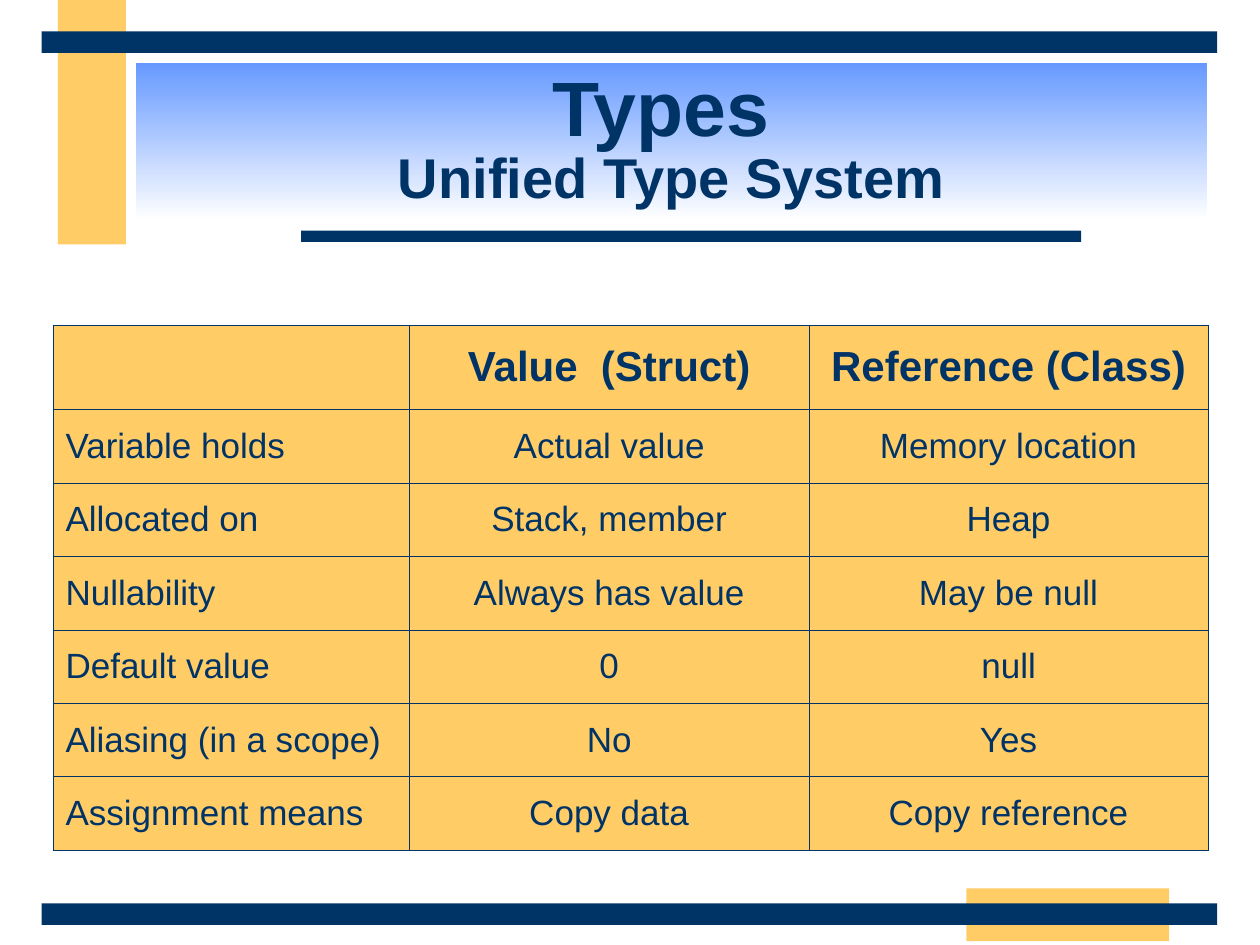
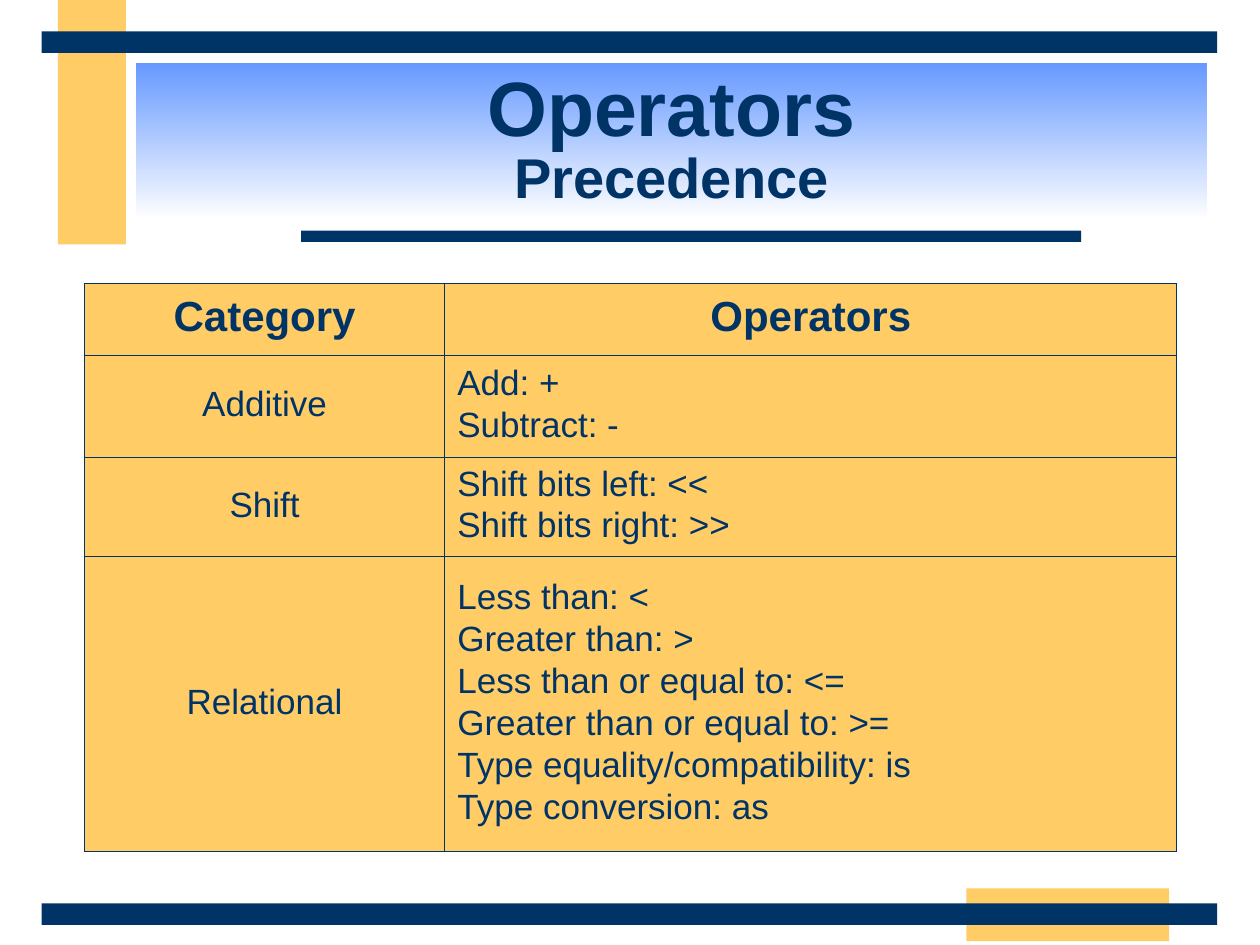
import pptx
import pptx.util
import pptx.dml.color
import pptx.enum.shapes
import pptx.enum.text
import pptx.oxml
import pptx.oxml.ns

Inches, Pt = pptx.util.Inches, pptx.util.Pt
RGBColor = pptx.dml.color.RGBColor
ALIGN = pptx.enum.text.PP_ALIGN
MIDDLE = pptx.enum.text.MSO_ANCHOR.MIDDLE

# Shared look
NAVY = RGBColor(0x00, 0x33, 0x66)
GOLD = RGBColor(0xFF, 0xCC, 0x66)
SKY = RGBColor(0x66, 0x99, 0xFF)
WHITE = RGBColor(0xFF, 0xFF, 0xFF)
TITLE_BOX = (1.08, 0.5, 8.5, 1.25)
BANDS = [
    (GOLD, (0.46, 0, 0.54, 1.94)),
    (GOLD, (7.67, 7.05, 1.61, 0.42)),
    (NAVY, (2.39, 1.83, 6.19, 0.09)),
    (NAVY, (0.33, 7.17, 9.33, 0.17)),
    (NAVY, (0.33, 0.25, 9.33, 0.17)),
]
BASE = {"name": "Arial"}
HEADING = {**BASE, "size": Pt(44), "bold": True}
SUBHEADING = {**HEADING, "size": Pt(32)}
TABLE_HEAD = {**HEADING, "size": Pt(24)}
TABLE_BODY = {**BASE, "size": Pt(20), "bold": False}
BORDER_WIDTH = Pt(0.45)

# Slide contents
TYPES_ROWS = [
    ("", "Value  (Struct)", "Reference (Class)"),
    ("Variable holds", "Actual value", "Memory location"),
    ("Allocated on", "Stack, member", "Heap"),
    ("Nullability", "Always has value", "May be null"),
    ("Default value", "0", "null"),
    ("Aliasing (in a scope)", "No", "Yes"),
    ("Assignment means", "Copy data", "Copy reference"),
]
OPERATOR_ROWS = [
    ("Category", "Operators"),
    ("Additive", "Add: +\nSubtract: -"),
    ("Shift", "Shift bits left: <<\nShift bits right: >>"),
    ("Relational", "Less than: <\nGreater than: >\nLess than or equal to: <=\n"
                   "Greater than or equal to: >=\n"
                   "Type equality/compatibility: is\nType conversion: as"),
]


def style_font(font, values):
    for name, value in values.items():
        setattr(font, name, value)
    font.color.rgb = NAVY


def add_bands(page, layout):
    """Draw the bands once and hand them to the layout all pages use."""
    for color, box in BANDS:
        band = page.shapes.add_shape(
            pptx.enum.shapes.MSO_SHAPE.RECTANGLE, *map(Inches, box))
        band.shadow.inherit = False
        band.fill.solid()
        band.fill.fore_color.rgb = color
        band.line.fill.background()
        layout.shapes.element.append(band.element)


def fill_title(page, box, heading, subheading):
    title = page.shapes.title
    for name, value in zip(("left", "top", "width", "height"), box):
        setattr(title, name, Inches(value))
    title.fill.gradient()
    title.fill.gradient_angle = 270
    for stop, color in zip(title.fill.gradient_stops, (SKY, WHITE)):
        stop.color.rgb = color
    frame = title.text_frame
    frame.word_wrap = True
    frame.auto_size = pptx.enum.text.MSO_AUTO_SIZE.NONE
    frame.vertical_anchor = MIDDLE
    para = frame.paragraphs[0]
    para.alignment = ALIGN.CENTER
    para.line_spacing = 0.85
    for text, values in ((heading, HEADING), (subheading, SUBHEADING)):
        if para.runs:
            para.add_line_break()
        span = para.add_run()
        span.text = text
        style_font(span.font, values)


def add_borders(cell):
    properties = cell._tc.get_or_add_tcPr()
    for index, side in enumerate(("lnL", "lnR", "lnT", "lnB")):
        properties.insert(index, pptx.oxml.parse_xml(
            f'<a:{side} {pptx.oxml.ns.nsdecls("a")} w="{BORDER_WIDTH}">'
            f'<a:solidFill><a:srgbClr val="{NAVY}"/></a:solidFill></a:{side}>'))


def fill_cell(cell, text, values, alignment, spacing):
    cell.fill.solid()
    cell.fill.fore_color.rgb = GOLD
    cell.vertical_anchor = MIDDLE
    add_borders(cell)
    cell.text = text
    for index, para in enumerate(cell.text_frame.paragraphs):
        para.alignment = alignment
        para.line_spacing = spacing
        if index:
            para.space_before = Pt(5)
        style_font(para.font, values)
        for span in para.runs:
            style_font(span.font, values)


def add_grid(page, box, rows, widths, heights, left_column, spacing):
    """Place a table whose body cells are centred except in left_column."""
    table = page.shapes.add_table(
        len(rows), len(widths), *map(Inches, box)).table
    table.first_row = table.horz_banding = False
    for column, width in zip(table.columns, widths):
        column.width = Inches(width)
    for row, height in zip(table.rows, heights):
        row.height = Inches(height)
    for r, texts in enumerate(rows):
        for c, text in enumerate(texts):
            is_left = r > 0 and c == left_column
            fill_cell(table.cell(r, c), text,
                      TABLE_BODY if r else TABLE_HEAD,
                      ALIGN.LEFT if is_left else ALIGN.CENTER, spacing)


def main():
    deck = pptx.Presentation()
    deck.slide_width, deck.slide_height = Inches(10), Inches(7.5)
    layout = deck.slide_layouts.get_by_name("Title Only")

    # Unified type system
    page = deck.slides.add_slide(layout)
    add_bands(page, layout)
    fill_title(page, TITLE_BOX, "Types ", "Unified Type System")
    body_count = len(TYPES_ROWS) - 1
    add_grid(page, (0.42, 2.58, 9.17, 4.17), TYPES_ROWS, (2.83, 3.17, 3.17),
             [0.67] + [3.5 / body_count] * body_count,
             left_column=0, spacing=1.0)

    # Operator precedence
    page = deck.slides.add_slide(layout)
    fill_title(page, TITLE_BOX, "Operators", "Precedence")
    add_grid(page, (0.67, 2.25, 8.67, 4.5), OPERATOR_ROWS, (2.86, 5.81),
             (0.57, 0.81, 0.79, 2.34), left_column=1, spacing=0.85)

    deck.save("out.pptx")


if __name__ == "__main__":
    main()
